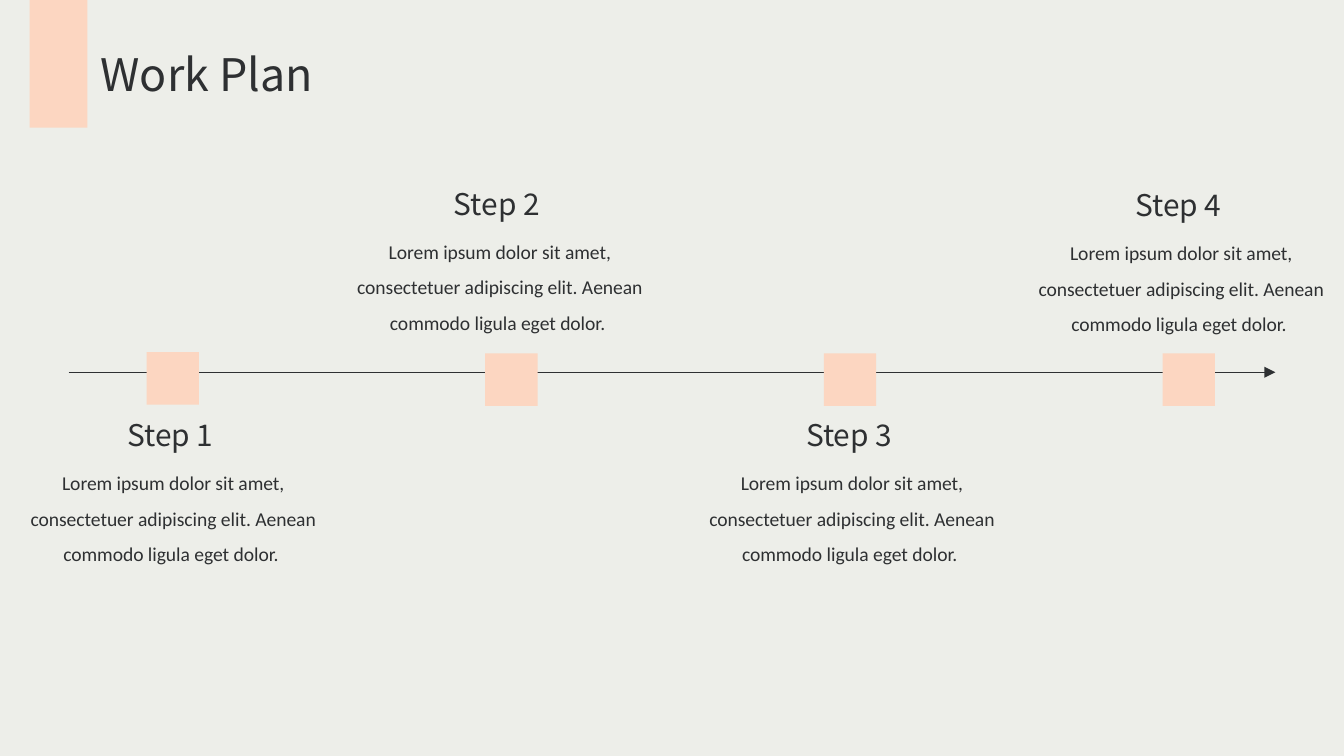
import pptx
import pptx.util
import pptx.dml.color
import pptx.enum.shapes
import pptx.enum.text
import pptx.oxml.ns
import lxml.etree

Inches = pptx.util.Inches
HEAD, BODY = "Noto Sans CJK SC", "Calibri"
INK, PEACH, PAPER = "2E3032", "FCD6C1", "EDEEE9"
LOREM = ("Lorem ipsum dolor sit amet, consectetuer adipiscing elit. "
         "Aenean commodo ligula eget dolor. ")


def paint(fill, tint):
    fill.solid()
    fill.fore_color.rgb = pptx.dml.color.RGBColor.from_string(tint)


def block(slide, left, top, width, height):
    kind = pptx.enum.shapes.MSO_SHAPE.RECTANGLE
    shape = slide.shapes.add_shape(
        kind, Inches(left), Inches(top), Inches(width), Inches(height))
    shape.shadow.inherit = False
    paint(shape.fill, PEACH)
    shape.line.fill.background()


def label(slide, left, top, width, height, text, size, font, wrap=False):
    box = slide.shapes.add_textbox(
        Inches(left), Inches(top), Inches(width), Inches(height))
    frame = box.text_frame
    frame.word_wrap = wrap
    frame.auto_size = pptx.enum.text.MSO_AUTO_SIZE.SHAPE_TO_FIT_TEXT
    para = frame.paragraphs[0]
    run = para.add_run()
    run.text = text
    run.font.size = pptx.util.Pt(size)
    run.font.name = font
    paint(run.font.fill, INK)
    return para


def header(slide, left, top):
    block(slide, left, top, 0.43, 0.95)
    label(slide, left + 0.43, top + 0.3, 1.8, 0.5, "Work Plan", 24, HEAD)


def axis(slide, left, top, width):
    line = slide.shapes.add_connector(
        pptx.enum.shapes.MSO_CONNECTOR.STRAIGHT,
        Inches(left), Inches(top), Inches(left + width), Inches(top))
    paint(line.line.fill, INK)
    line.line.width = pptx.util.Pt(0.5)
    # Arrowhead, and no shadow
    qn = pptx.oxml.ns.qn
    edge = line._element.spPr.find(qn("a:ln"))
    lxml.etree.SubElement(edge, qn("a:tailEnd"), type="triangle")
    lxml.etree.SubElement(line._element.spPr, qn("a:effectLst"))


def step(slide, left, top, num):
    para = label(slide, left, top + 0.32, 2.46, 0.87, LOREM, 10.5, BODY, True)
    para.alignment = pptx.enum.text.PP_ALIGN.CENTER
    para.line_spacing = 1.5
    label(slide, left + 0.79, top, 0.87, 0.37, f"Step {num}", 16, HEAD)


def main():
    # Widescreen page, 16:9
    deck = pptx.Presentation()
    deck.slide_width, deck.slide_height = Inches(10), Inches(10 * 9 / 16)
    slide = deck.slides.add_slide(deck.slide_layouts[6])
    paint(slide.background.fill, PAPER)

    header(slide, 0.22, 0)

    # Timeline with evenly spaced markers
    axis(slide, 0.51, 2.77, 8.98)
    for i, top in enumerate((2.62, 2.63, 2.63, 2.63)):
        block(slide, 1.09 + i * 2.52, top, 0.39, 0.39)

    # Steps alternate below and above the line
    spots = [(0.06, 3.05), (2.49, 1.33), (5.11, 3.05), (7.56, 1.34)]
    for num, (left, top) in enumerate(spots, 1):
        step(slide, left, top, num)

    deck.save("out.pptx")


if __name__ == "__main__":
    main()
